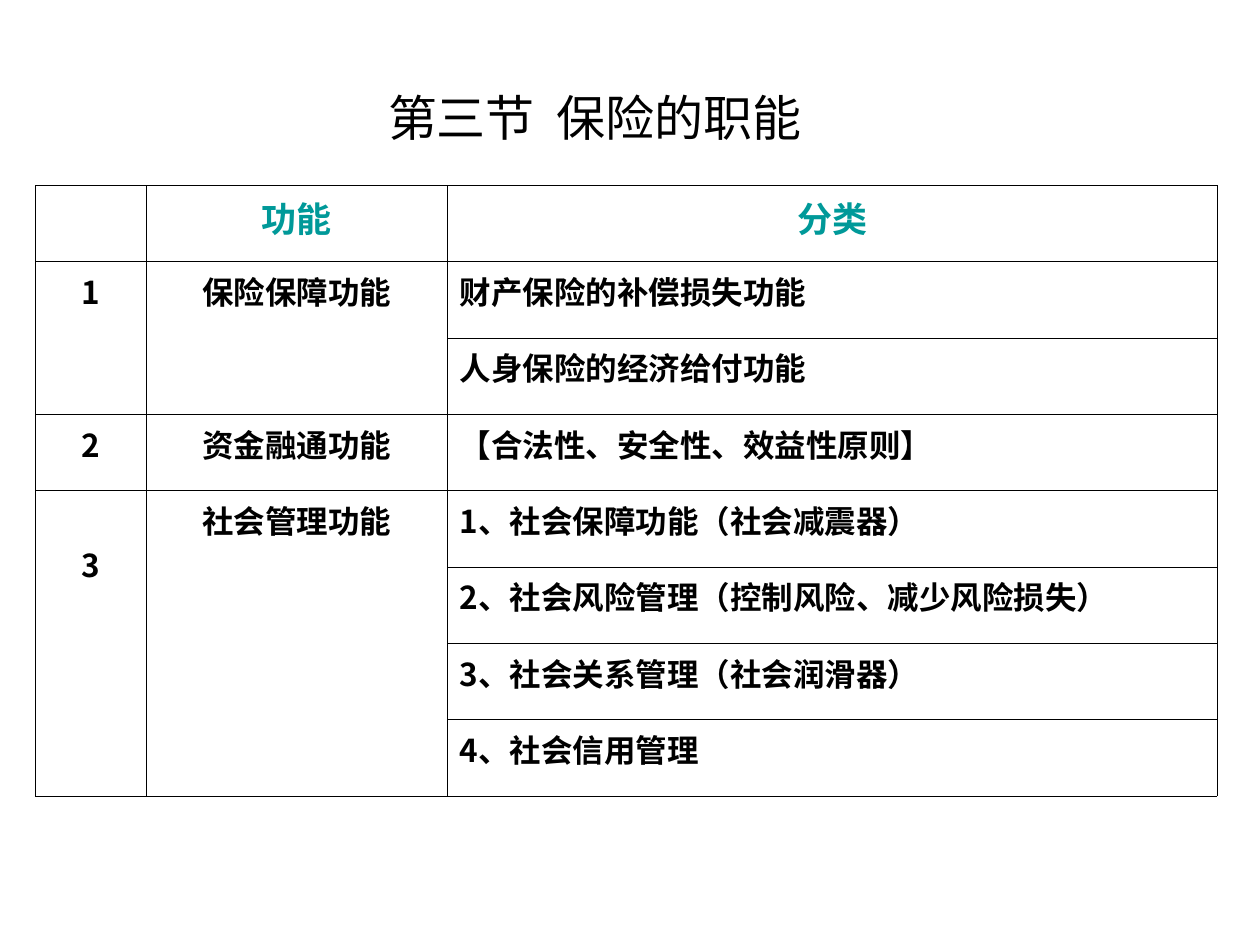
from lxml import etree
from pptx import Presentation
from pptx.dml.color import RGBColor
from pptx.enum.text import MSO_ANCHOR, PP_ALIGN
from pptx.oxml.ns import qn
from pptx.util import Inches, Pt

COLORS = {"ink": "000000", "header": "009999", "paper": "FFFFFF"}
TITLE_FONT = "Noto Sans"
TABLE_FONT = "Noto Sans CJK SC"
COLUMN_WIDTHS = (0.88, 2.39, 6.11)
BORDER_WIDTH = Pt(0.23)

HEADERS = ("", "功能", "分类")
FUNCTIONS = (
    ("保险保障功能", ("财产保险的补偿损失功能", "人身保险的经济给付功能")),
    ("资金融通功能", ("【合法性、安全性、效益性原则】",)),
    ("社会管理功能", (
        "1、社会保障功能（社会减震器）",
        "2、社会风险管理（控制风险、减少风险损失）",
        "3、社会关系管理（社会润滑器）",
        "4、社会信用管理",
    )),
)


def format_text(text_frame, font_name, size, color, alignment, bold=False):
    for paragraph in text_frame.paragraphs:
        paragraph.alignment = alignment
        for run in paragraph.runs:
            font = run.font
            font.name, font.size, font.bold = font_name, Pt(size), bold
            font.color.rgb = RGBColor.from_string(COLORS[color])
            east_asian = etree.Element(qn("a:ea"), typeface=TABLE_FONT)
            font._element.find(qn("a:latin")).addnext(east_asian)


def add_title(slide, left, top, width, height):
    title = slide.shapes.title
    title.left, title.top, title.width, title.height = left, top, width, height
    text_frame = title.text_frame
    text_frame.text = "第三节  保险的职能"
    text_frame.vertical_anchor = MSO_ANCHOR.MIDDLE
    format_text(text_frame, TITLE_FONT, 28, "ink", PP_ALIGN.CENTER)


def set_borders(cell):
    properties = cell._tc.get_or_add_tcPr()
    for position, side in enumerate(("lnL", "lnR", "lnT", "lnB")):
        line = etree.Element(qn(f"a:{side}"), w=str(BORDER_WIDTH))
        fill = etree.SubElement(line, qn("a:solidFill"))
        etree.SubElement(fill, qn("a:srgbClr"), val=COLORS["ink"])
        properties.insert(position, line)


def fill_cell(cell, text, size=18, color="ink", alignment=PP_ALIGN.CENTER):
    cell.text = text
    format_text(cell.text_frame, TABLE_FONT, size, color, alignment, bold=True)


def add_function_table(slide, left, top, width, height):
    row_count = 1 + sum(len(categories) for _, categories in FUNCTIONS)
    frame = slide.shapes.add_table(
        row_count, len(COLUMN_WIDTHS), left, top, width, height)
    table = frame.table
    table.first_row = table.horz_banding = False
    for column, column_width in zip(table.columns, COLUMN_WIDTHS):
        column.width = Inches(column_width)
    for cell in table.iter_cells():
        cell.fill.solid()
        cell.fill.fore_color.rgb = RGBColor.from_string(COLORS["paper"])
        set_borders(cell)

    for column, header in enumerate(HEADERS):
        fill_cell(table.cell(0, column), header, size=20, color="header")

    row = 1
    for number, (name, categories) in enumerate(FUNCTIONS, start=1):
        last_row = row + len(categories) - 1
        for column, text in enumerate((str(number), name)):
            cell = table.cell(row, column)
            if last_row > row:
                cell.merge(table.cell(last_row, column))
            fill_cell(cell, text)
        for offset, category in enumerate(categories):
            fill_cell(table.cell(row + offset, 2), category,
                      alignment=PP_ALIGN.LEFT)
        row = last_row + 1

    # The last number sits one line below the top of its merged cell.
    last_number = table.cell(row_count - len(FUNCTIONS[-1][1]), 0)
    last_number.margin_top = Inches(0.4)


def main():
    presentation = Presentation()
    presentation.slide_width = Inches(10)
    presentation.slide_height = Inches(7.5)
    slide = presentation.slides.add_slide(presentation.slide_layouts[5])
    add_title(slide, Inches(2.16), Inches(0.3), Inches(5.12), Inches(1.25))
    add_function_table(
        slide, Inches(0.28), Inches(1.47), Inches(9.38), Inches(4.85))
    presentation.save("out.pptx")


if __name__ == "__main__":
    main()
